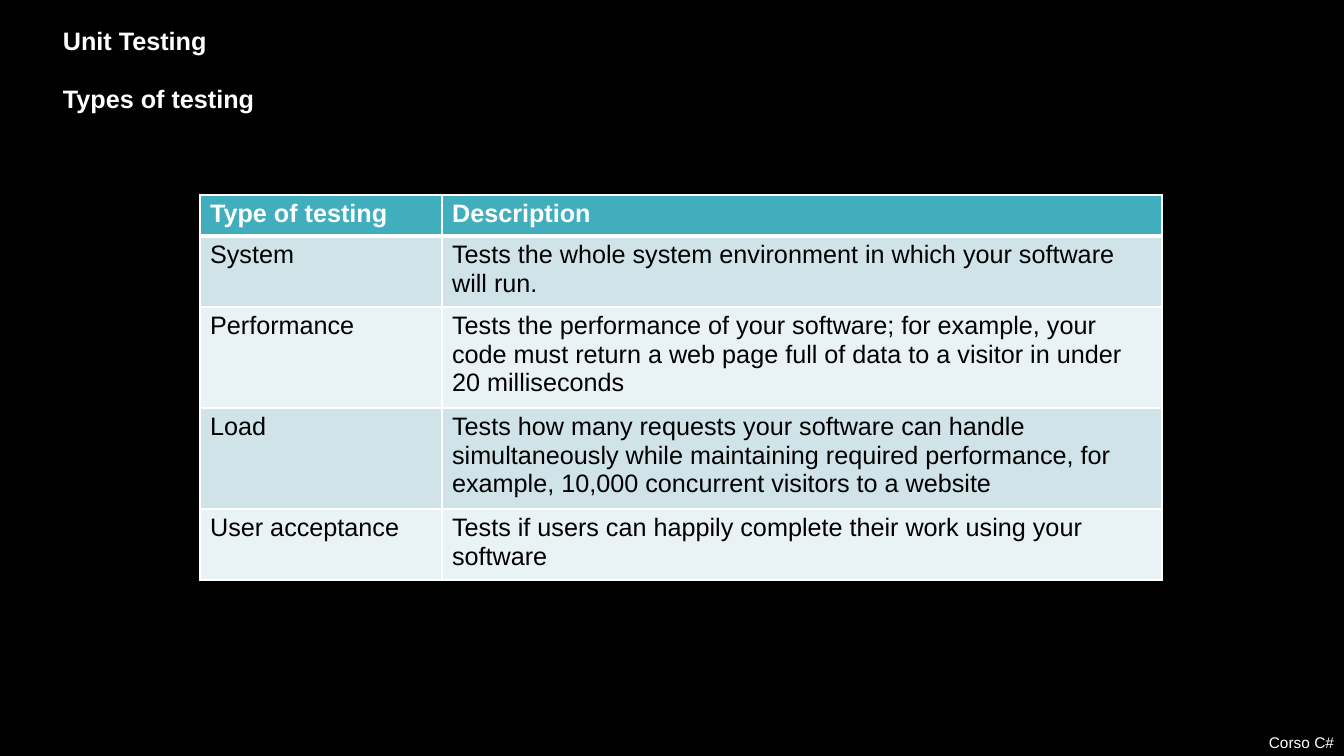
from lxml.etree import SubElement
from pptx import Presentation
from pptx.dml.color import RGBColor
from pptx.enum.text import MSO_AUTO_SIZE, PP_ALIGN
from pptx.oxml.ns import qn
from pptx.util import Emu, Pt

SCALE = 914400 / 100.8
WHITE = RGBColor(0xFF, 0xFF, 0xFF)
BLACK = RGBColor(0, 0, 0)
TEAL = RGBColor(0x41, 0xAE, 0xBD)
BAND_DARK = RGBColor(0xCF, 0xE3, 0xE8)
BAND_LIGHT = RGBColor(0xE9, 0xF2, 0xF4)

HEADING = {"size": Pt(18), "bold": True, "color": WHITE}
BODY = {"size": Pt(18), "bold": False, "color": BLACK}
FOOTER = {"size": Pt(11), "bold": False, "color": WHITE}

COLUMN_WIDTHS = (242, 720)
ROW_HEIGHTS = (41, 71, 101, 101, 71)
TESTING_TYPES = (
    ("Type of testing", "Description"),
    ("System", "Tests the whole system environment in which your software will run."),
    ("Performance", "Tests the performance of your software; for example, your code must "
                    "return a web page full of data to a visitor in under 20 milliseconds"),
    ("Load", "Tests how many requests your software can handle simultaneously while "
             "maintaining required performance, for example, 10,000 concurrent "
             "visitors to a website"),
    ("User acceptance", "Tests if users can happily complete their work using your software"),
)


def px(pixels):
    """Turn whole pixels into EMU."""
    return Emu(round(pixels * SCALE))


def write_text(frame, text, style, align=PP_ALIGN.LEFT):
    """Put one formatted line of text into a text frame."""
    para = frame.paragraphs[0]
    para.alignment = align
    span = para.add_run()
    span.text = text
    span.font.color.rgb = style["color"]
    span.font.name = "Arial"
    for name in ("size", "bold"):
        setattr(span.font, name, style[name])


def add_text(page, bounds, text, style, align=PP_ALIGN.LEFT, wrap=True):
    """Add a text box at the given pixel bounds."""
    box = page.shapes.add_textbox(*map(px, bounds))
    settings = {"word_wrap": wrap, "auto_size": MSO_AUTO_SIZE.SHAPE_TO_FIT_TEXT}
    for name, value in settings.items():
        setattr(box.text_frame, name, value)
    write_text(box.text_frame, text, style, align)


def add_borders(cell, widths):
    """Draw white cell borders, with widths in points keyed by side."""
    properties = cell._tc.get_or_add_tcPr()
    for side, width in widths.items():
        line = SubElement(properties, qn(f"a:ln{side}"), w=str(Pt(width)))
        fill = SubElement(line, qn("a:solidFill"))
        SubElement(fill, qn("a:srgbClr"), val=str(WHITE))


def add_testing_table(page, left, top):
    """Add the table with a teal header and banded body rows."""
    frame = page.shapes.add_table(
        len(ROW_HEIGHTS), len(COLUMN_WIDTHS), px(left), px(top),
        px(sum(COLUMN_WIDTHS)), px(sum(ROW_HEIGHTS)))
    table = frame.table
    for column, width in zip(table.columns, COLUMN_WIDTHS):
        column.width = px(width)
    for index, (height, texts) in enumerate(zip(ROW_HEIGHTS, TESTING_TYPES)):
        row = table.rows[index]
        row.height = px(height)
        band = BAND_DARK if index % 2 else BAND_LIGHT
        color, style = (band, BODY) if index else (TEAL, HEADING)
        widths = {"L": 1, "R": 1, "T": 3 if index == 1 else 1, "B": 1 if index else 3}
        for cell, text in zip(row.cells, texts):
            add_borders(cell, widths)
            cell.fill.solid()
            cell.fill.fore_color.rgb = color
            write_text(cell.text_frame, text, style)


def main():
    """Build and save the slide."""
    deck = Presentation()
    deck.slide_width, deck.slide_height = px(1344), px(756)
    page = deck.slides.add_slide(deck.slide_layouts[6])
    page.background.fill.solid()
    page.background.fill.fore_color.rgb = BLACK
    add_text(page, (0, 728, 1344, 29), "Corso C#", FOOTER, PP_ALIGN.RIGHT)
    add_text(page, (53, 20, 165, 40), "Unit Testing", HEADING, wrap=False)
    add_text(page, (53, 78, 1152, 40), "Types of testing", HEADING)
    add_testing_table(page, 200, 195)
    deck.save("out.pptx")


main()
